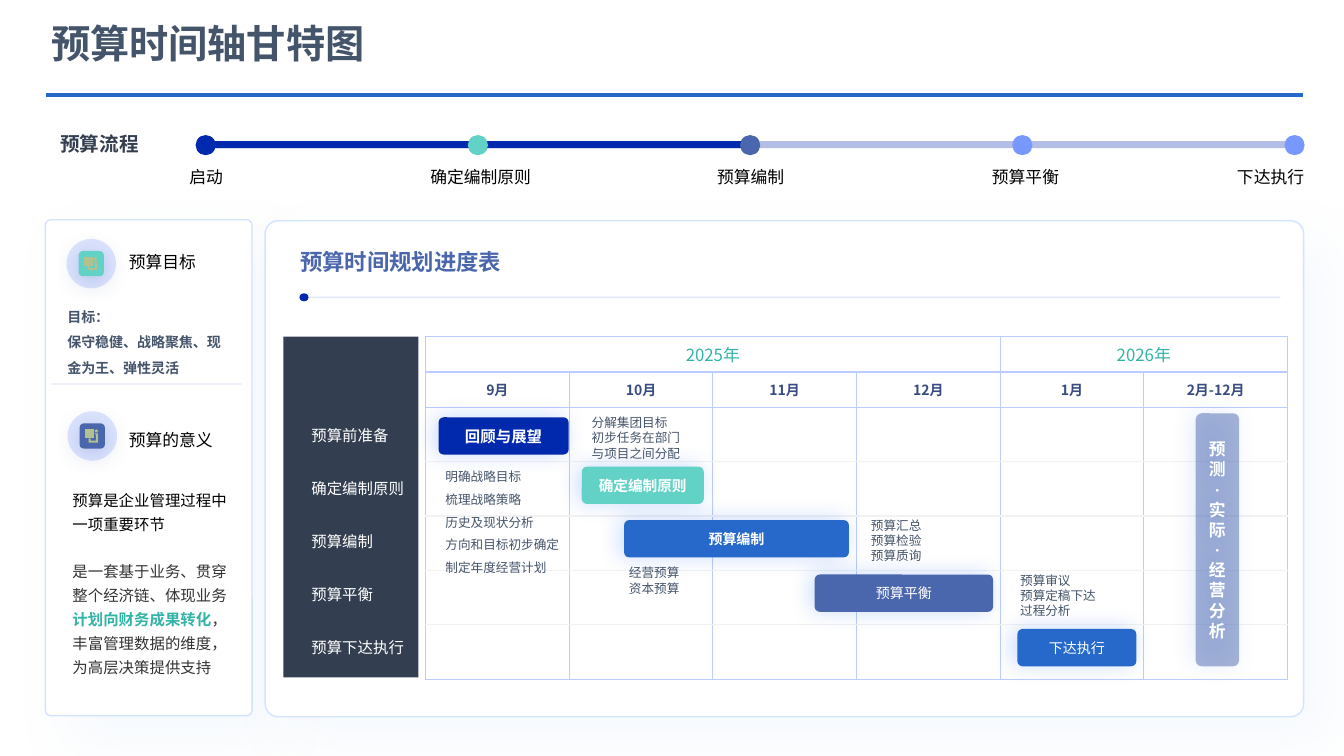
from dataclasses import dataclass, replace

from lxml import etree
from pptx import Presentation
from pptx.dml.color import RGBColor
from pptx.enum.lang import MSO_LANGUAGE_ID
from pptx.enum.shapes import MSO_CONNECTOR, MSO_SHAPE
from pptx.enum.text import MSO_ANCHOR, PP_ALIGN
from pptx.oxml.ns import qn
from pptx.shapes.autoshape import Shape
from pptx.slide import Slide
from pptx.text.text import TextFrame
from pptx.util import Inches, Pt

RECTANGLE = MSO_SHAPE.RECTANGLE
ROUNDED = MSO_SHAPE.ROUNDED_RECTANGLE
OVAL = MSO_SHAPE.OVAL
STRAIGHT = MSO_CONNECTOR.STRAIGHT
LEFT, CENTER = PP_ALIGN.LEFT, PP_ALIGN.CENTER
MIDDLE = MSO_ANCHOR.MIDDLE
CHINESE = MSO_LANGUAGE_ID.SIMPLIFIED_CHINESE

NOTO = "Noto Sans CJK SC"
EAST_ASIAN = "Calibri"
NAVY, BLUE, SLATE_BLUE, MINT = "0129AD", "2769CA", "4A66AC", "62D2C6"
PERIWINKLE, DARK, GRAY, TEAL = "7998FE", "333F50", "44546A", "33B4A6"
WHITE, BLACK, GRID, FAINT = "FFFFFF", "000000", "BCCCFF", "F2F2F2"


@dataclass(frozen=True)
class Style:
    size: float
    color: str = BLACK
    bold: bool = False
    font: str = NOTO
    align: PP_ALIGN = LEFT
    spacing: float | Pt | None = None


@dataclass(frozen=True)
class Shadow:
    color: str
    alpha: int
    blur: float
    distance: float
    direction: int


@dataclass(frozen=True)
class Label:
    at: tuple[float, float, float, float]
    lines: tuple[str, ...]
    style: Style


@dataclass(frozen=True)
class Bar:
    at: tuple[float, float, float, float]
    fill: str
    lines: tuple[str, ...]
    style: Style
    alpha: int = 100


PANEL_SHADOW = Shadow("A5C9FD", 10, 39, 24, 45)
ICON_SHADOW = Shadow(SLATE_BLUE, 32, 18, 3, 90)
BAR_SHADOW = Shadow("256FFB", 23, 16, 3, 190)

STEP = Style(12)
NOTE = Style(9, GRAY)
STAGE = Style(11, WHITE)
BAR_PLAIN = Style(10, WHITE, align=CENTER)
BAR_BOLD = replace(BAR_PLAIN, bold=True)
MEANING = Style(11, font=EAST_ASIAN, spacing=Pt(17))

MILESTONE_COLORS = (NAVY, MINT, SLATE_BLUE, PERIWINKLE, PERIWINKLE)
STAGES = ("预算前准备", "确定编制原则", "预算编制", "预算平衡", "预算下达执行")
MONTHS = ("9月", "10月", "11月", "12月", "1月", "2月-12月")
ROW_HEIGHTS = (0.35, 0.35, 0.54, 0.54, 0.54, 0.54, 0.54)
ICON_OUTLINES = (
    ((0.15, 0.06), (0.16, 0.07), (0.17, 0.06), (0.18, 0.07), (0.19, 0.08),
     (0.17, 0.08), (0.18, 0.09), (0.15, 0.09)),
    ((0.05, 0.06), (0.14, 0.06), (0.14, 0.15), (0.05, 0.15)),
    ((0.15, 0.10), (0.18, 0.10), (0.18, 0.19), (0.09, 0.19), (0.09, 0.15),
     (0.11, 0.15), (0.11, 0.17), (0.16, 0.17), (0.16, 0.11), (0.15, 0.11)),
)

LABELS = (
    Label((0.41, 0.2, 6.11, 0.53), ("预算时间轴甘特图",), Style(28, GRAY, True, spacing=0.9)),
    Label((0.5, 1.26, 1.27, 0.34), ("预算流程",), Style(14, DARK, True)),
    Label((1.78, 1.6, 0.62, 0.32), ("启动",), STEP),
    Label((4.17, 1.6, 1.3, 0.32), ("确定编制原则",), STEP),
    Label((6.88, 1.6, 1.13, 0.32), ("预算编制",), replace(STEP, align=CENTER)),
    Label((9.74, 1.6, 1.13, 0.32), ("预算平衡",), STEP),
    Label((12.17, 1.6, 1.02, 0.32), ("下达执行",), STEP),
    Label((1.18, 2.45, 1.16, 0.3), ("预算目标",), STEP),
    Label((0.57, 2.93, 1.83, 0.88), ("目标：", "保守稳健、战略聚焦、现金为王、弹性灵活"),
          Style(10, GRAY, True, EAST_ASIAN, spacing=1.5)),
    Label((1.18, 4.21, 1.16, 0.3), ("预算的意义",), STEP),
    Label((2.88, 2.41, 3.07, 0.37), ("预算时间规划进度表",), Style(16, SLATE_BLUE, True)),
    Label((4.32, 4.53, 1.37, 1.21),
          ("明确战略目标", "梳理战略策略", "历史及现状分析", "方向和目标初步确定", "制定年度经营计划"),
          replace(NOTE, spacing=1.5)),
    Label((5.77, 4.07, 1.15, 0.56), ("分解集团目标", "初步任务在部门与项目之间分配"), NOTE),
    Label((6.14, 5.56, 0.84, 0.4), ("经营预算", "资本预算"), NOTE),
    Label((8.54, 5.09, 1.37, 0.56), ("预算汇总", "预算检验", "预算质询"), NOTE),
    Label((10.02, 5.63, 1.2, 0.56), ("预算审议", "预算定稿下达", "过程分析"), NOTE),
)

BARS = (
    Bar((4.35, 4.14, 1.29, 0.37), NAVY, ("回顾与展望",), replace(BAR_BOLD, size=11, font="Roboto")),
    Bar((5.77, 4.63, 1.21, 0.37), MINT, ("确定编制原则",), replace(BAR_BOLD, size=10.5)),
    Bar((6.19, 5.16, 2.23, 0.37), BLUE, ("预算编制",), BAR_BOLD),
    Bar((8.08, 5.7, 1.77, 0.37), SLATE_BLUE, ("预算平衡",), BAR_PLAIN),
    Bar((10.09, 6.24, 1.18, 0.37), BLUE, ("下达执行",), BAR_PLAIN),
    Bar((11.86, 4.1, 0.43, 2.51), SLATE_BLUE, ("预测", "·", "实际", "·", "经营分析"),
        replace(BAR_BOLD, size=12, font="Roboto"), 49),
)


def rgb(color: str) -> RGBColor:
    return RGBColor.from_string(color)


def add_alpha(color_element: etree._Element, percent: int) -> None:
    etree.SubElement(color_element, qn("a:alpha"), val=str(percent * 1000))


def write(frame: TextFrame, lines: tuple[str, ...], style: Style) -> None:
    frame.word_wrap = True
    frame.text = "\n".join(lines)
    for para in frame.paragraphs:
        para.alignment = style.align
        if style.spacing is not None:
            para.line_spacing = style.spacing
        font = para.font
        font.size, font.bold, font.name = Pt(style.size), style.bold, style.font
        font.color.rgb = rgb(style.color)
        font.language_id = CHINESE
        defaults = para._p.pPr.find(qn("a:defRPr"))
        etree.SubElement(defaults, qn("a:ea"), typeface=EAST_ASIAN)


def finish(shape: Shape, fill: str, alpha: int = 100, shadow: Shadow | None = None) -> None:
    shape.shadow.inherit = False
    shape.fill.solid()
    shape.fill.fore_color.rgb = rgb(fill)
    shape.line.fill.background()
    properties = shape._element.spPr
    if alpha < 100:
        add_alpha(properties.find(f"{qn('a:solidFill')}/{qn('a:srgbClr')}"), alpha)
    if shadow:
        outer = etree.SubElement(
            properties.find(qn("a:effectLst")), qn("a:outerShdw"),
            blurRad=str(Pt(shadow.blur)), dist=str(Pt(shadow.distance)),
            dir=str(shadow.direction * 60000), algn="ctr", rotWithShape="0")
        add_alpha(etree.SubElement(outer, qn("a:srgbClr"), val=shadow.color), shadow.alpha)


def add_shape(page: Slide, kind: MSO_SHAPE, at: tuple[float, ...], fill: str,
              alpha: int = 100, shadow: Shadow | None = None, corner: float | None = None) -> Shape:
    shape = page.shapes.add_shape(kind, *map(Inches, at))
    if corner is not None:
        shape.adjustments[0] = corner
    finish(shape, fill, alpha, shadow)
    return shape


def add_panel(page: Slide, at: tuple[float, ...]) -> None:
    panel = add_shape(page, ROUNDED, at, WHITE, shadow=PANEL_SHADOW, corner=0.026)
    panel.line.color.rgb = rgb("D2E4FE")
    panel.line.width = Pt(1)


def add_rule(page: Slide, left: float, right: float, top: float,
             color: str, width: float, alpha: int = 100) -> None:
    rule = page.shapes.add_connector(STRAIGHT, *map(Inches, (left, top, right, top)))
    rule.line.color.rgb = rgb(color)
    rule.line.width = Pt(width)
    properties = rule._element.spPr
    if alpha < 100:
        add_alpha(next(properties.iter(qn("a:srgbClr"))), alpha)
    etree.SubElement(properties, qn("a:effectLst"))


def add_label(page: Slide, label: Label) -> TextFrame:
    box = page.shapes.add_textbox(*map(Inches, label.at))
    write(box.text_frame, label.lines, label.style)
    return box.text_frame


def add_icon(page: Slide, left: float, top: float, fill: str) -> None:
    add_shape(page, OVAL, (left - 0.12, top - 0.12, 0.49, 0.49), GRID, 50)
    add_shape(page, ROUNDED, (left, top, 0.25, 0.25), fill, shadow=ICON_SHADOW)
    for outline in ICON_OUTLINES:
        points = [(Inches(left + x), Inches(top + y)) for x, y in outline]
        builder = page.shapes.build_freeform(*points[0])
        builder.add_line_segments(points[1:], close=True)
        finish(builder.convert_to_shape(), "B3C18E")


def add_bar(page: Slide, bar: Bar) -> None:
    shape = add_shape(page, ROUNDED, bar.at, bar.fill, bar.alpha, BAR_SHADOW, 0.138)
    shape.text_frame.vertical_anchor = MIDDLE
    write(shape.text_frame, bar.lines, bar.style)


def add_calendar(page: Slide) -> None:
    frame = page.shapes.add_table(len(ROW_HEIGHTS), len(MONTHS),
                                  *map(Inches, (4.22, 3.34, 8.55, sum(ROW_HEIGHTS))))
    table = frame.table
    table.first_row = table.horz_banding = False
    last = len(ROW_HEIGHTS) - 1
    for column in table.columns:
        column.width = Inches(8.55 / len(MONTHS))
    for index, height in enumerate(ROW_HEIGHTS):
        table.rows[index].height = Inches(height)
        top = GRID if index <= 2 else FAINT
        bottom = GRID if index < 2 or index == last else FAINT
        for cell in table.rows[index].cells:
            properties = cell._tc.get_or_add_tcPr()
            for side, color in (("L", GRID), ("R", GRID), ("T", top), ("B", bottom)):
                border = etree.SubElement(properties, qn(f"a:ln{side}"), w=str(Pt(1)))
                solid = etree.SubElement(border, qn("a:solidFill"))
                etree.SubElement(solid, qn("a:srgbClr"), val=color)
            cell.fill.background()
            cell.vertical_anchor = MIDDLE
    for first, final, year in ((0, 3, "2025年"), (4, 5, "2026年")):
        table.cell(0, first).merge(table.cell(0, final))
        write(table.cell(0, first).text_frame, (year,), Style(12, TEAL, align=CENTER))
    for column, month in enumerate(MONTHS):
        write(table.cell(1, column).text_frame, (month,), Style(10, "384C81", True, align=CENTER))


def add_meaning(page: Slide) -> None:
    frame = add_label(page, Label((0.62, 4.77, 1.82, 1.99), ("预算是企业管理过程中一项重要环节", ""), MEANING))
    detail = frame.paragraphs[1]
    detail.space_before = Pt(17)
    detail.font.name = "Arial"
    detail.font.color.rgb = rgb("333333")
    for text, highlighted in (("是一套基于业务、贯穿 整个经济链、体现业务", False),
                              ("计划向财务成果转化", True),
                              ("，丰富管理数据的维度，为高层决策提供支持", False)):
        span = detail.add_run()
        span.text = text
        if highlighted:
            span.font.bold = True
            span.font.color.rgb = rgb(TEAL)


def main() -> None:
    deck = Presentation()
    deck.slide_width, deck.slide_height = Inches(13.33), Inches(7.5)
    page = deck.slides.add_slide(deck.slide_layouts[6])
    add_panel(page, (0.45, 2.18, 2.05, 4.92))
    add_panel(page, (2.63, 2.19, 10.3, 4.92))
    add_rule(page, 0.46, 12.92, 0.94, BLUE, 3)
    add_shape(page, RECTANGLE, (2.03, 1.4, 10.85, 0.07), NAVY, 30)
    add_shape(page, RECTANGLE, (2.03, 1.4, 5.35, 0.07), NAVY)
    for index, color in enumerate(MILESTONE_COLORS):
        add_shape(page, OVAL, (1.94 + 2.7 * index, 1.34, 0.2, 0.2), color)
    add_icon(page, 0.78, 2.49, MINT)
    add_icon(page, 0.79, 4.2, SLATE_BLUE)
    add_rule(page, 0.51, 2.4, 3.81, NAVY, 1, 11)
    add_shape(page, OVAL, (2.97, 2.91, 0.09, 0.08), NAVY)
    add_rule(page, 3.06, 12.7, 2.95, NAVY, 1, 11)
    add_shape(page, RECTANGLE, (2.81, 3.34, 1.34, 3.38), DARK)
    add_calendar(page)
    for index, stage in enumerate(STAGES):
        top = 4.18 + index * 2.1 / (len(STAGES) - 1)
        add_label(page, Label((2.99, top, 1.27, 0.28), (stage,), STAGE))
    for bar in BARS:
        add_bar(page, bar)
    for label in LABELS:
        add_label(page, label)
    add_meaning(page)
    deck.save("out.pptx")


if __name__ == "__main__":
    main()
